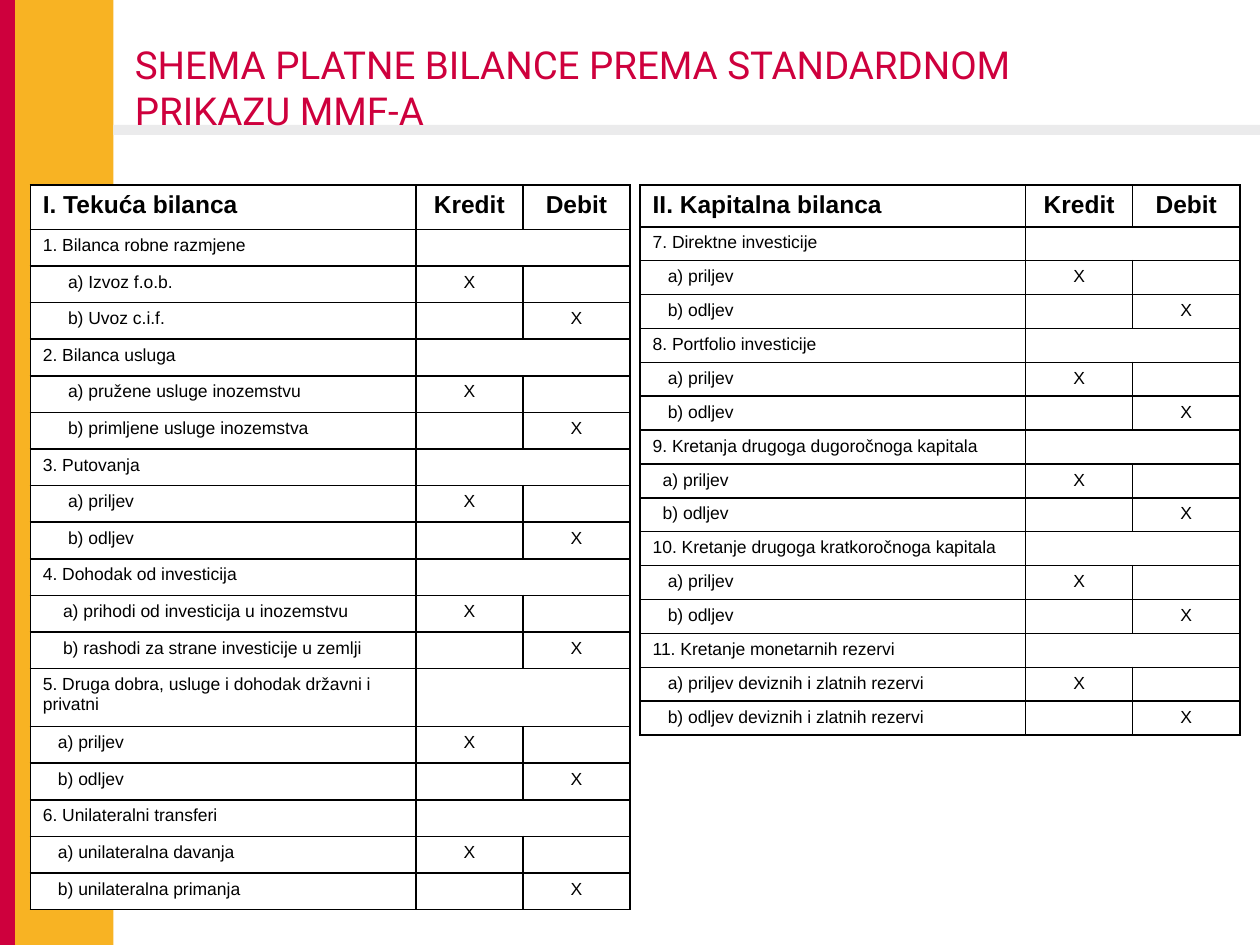
import dataclasses

import lxml.etree
import pptx
import pptx.dml.color
import pptx.enum.shapes
import pptx.enum.text
import pptx.oxml.ns
import pptx.util

Inches = pptx.util.Inches
Color = pptx.dml.color.RGBColor


@dataclasses.dataclass(frozen=True)
class Theme:
    red: Color = Color(0xCE, 0x00, 0x3D)
    yellow: Color = Color(0xF8, 0xB3, 0x23)
    gray: Color = Color(0xEB, 0xEB, 0xEC)
    white: Color = Color(0xFF, 0xFF, 0xFF)
    black: Color = Color(0x00, 0x00, 0x00)
    title_font: str = "Roboto"
    table_font: str = "Arial"
    title_size: int = 22
    header_size: int = 14
    body_size: int = 10
    border_width: int = 1
    cell_margin: float = 0.1
    indent_step: float = 0.04


THEME = Theme()
TITLE = "SHEMA PLATNE BILANCE PREMA STANDARDNOM PRIKAZU MMF-A"
COLUMN_WIDTHS = (3.06, 0.85, 0.85)
FLOWS = ("priljev", "odljev")

# Each item: heading, indent steps of its entries, credit entry and debit entry
CURRENT_ACCOUNT = [
    ("1. Bilanca robne razmjene", 5, ("Izvoz f.o.b.", "Uvoz c.i.f.")),
    ("2. Bilanca usluga", 5, ("pružene usluge inozemstvu", "primljene usluge inozemstva")),
    ("3. Putovanja", 5, FLOWS),
    ("4. Dohodak od investicija", 4,
     ("prihodi od investicija u inozemstvu", "rashodi za strane investicije u zemlji")),
    ("5. Druga dobra, usluge i dohodak državni i privatni", 3, FLOWS),
    ("6. Unilateralni transferi", 3, ("unilateralna davanja", "unilateralna primanja")),
]
CAPITAL_ACCOUNT = [
    ("7. Direktne investicije", 3, FLOWS),
    ("8. Portfolio investicije", 3, FLOWS),
    ("9. Kretanja drugoga dugoročnoga kapitala", 2, FLOWS),
    ("10. Kretanje drugoga kratkoročnoga kapitala", 3, FLOWS),
    ("11. Kretanje monetarnih rezervi", 3,
     tuple(f"{flow} deviznih i zlatnih rezervi" for flow in FLOWS)),
]


def add_bar(slide, box, color):
    bar = slide.shapes.add_shape(
        pptx.enum.shapes.MSO_SHAPE.RECTANGLE, *map(Inches, box))
    bar.shadow.inherit = False
    bar.fill.solid()
    bar.fill.fore_color.rgb = color
    bar.line.fill.background()


def add_background(slide, box):
    left, top, width, height = box
    red_width, side_width = 0.12, 0.9
    add_bar(slide, (left, top, red_width, height), THEME.red)
    add_bar(slide, (left + red_width, top, side_width - red_width, height), THEME.yellow)
    add_bar(slide, (left + side_width, top + 0.99, width - side_width, 0.08), THEME.gray)


def place_title(slide, box):
    title = slide.shapes.title
    title.left, title.top, title.width, title.height = map(Inches, box)
    # The title lies in front of the background bars
    slide.shapes.element.append(title.element)
    frame = title.text_frame
    frame.text = TITLE
    frame.word_wrap = True
    frame.auto_size = pptx.enum.text.MSO_AUTO_SIZE.NONE
    frame.vertical_anchor = pptx.enum.text.MSO_ANCHOR.MIDDLE
    paragraph = frame.paragraphs[0]
    paragraph.alignment = pptx.enum.text.PP_ALIGN.LEFT
    font = paragraph.runs[0].font
    font.name = THEME.title_font
    font.size = pptx.util.Pt(THEME.title_size)
    font.color.rgb = THEME.red


def set_borders(cell):
    properties = cell._tc.get_or_add_tcPr()
    name = pptx.oxml.ns.qn
    for position, side in enumerate(("a:lnL", "a:lnR", "a:lnT", "a:lnB")):
        line = lxml.etree.Element(
            name(side), w=str(pptx.util.Pt(THEME.border_width)))
        fill = lxml.etree.SubElement(line, name("a:solidFill"))
        lxml.etree.SubElement(fill, name("a:srgbClr"), val=str(THEME.black))
        properties.insert(position, line)


def format_cell(cell, text, size, bold, centered, indent):
    cell.fill.solid()
    cell.fill.fore_color.rgb = THEME.white
    set_borders(cell)
    cell.margin_left = Inches(THEME.cell_margin + indent * THEME.indent_step)
    cell.text_frame.text = text
    paragraph = cell.text_frame.paragraphs[0]
    if centered:
        paragraph.alignment = pptx.enum.text.PP_ALIGN.CENTER
    # Keeps empty cells from stretching their row
    paragraph._p.get_or_add_endParaRPr().set("sz", str(size * 100))
    for run in paragraph.runs:
        run.font.name = THEME.table_font
        run.font.size = pptx.util.Pt(size)
        run.font.bold = bold
        run.font.color.rgb = THEME.black


def add_account_table(slide, box, heading, items, header_height, tall_rows):
    """tall_rows maps the index of a row with wrapped text to its height."""
    rows = [(0, (heading, "Kredit", "Debit"))]
    for item, indent, (credit, debit) in items:
        rows += [(0, (item, "", "")),
                 (indent, (f"a) {credit}", "X", "")),
                 (indent, (f"b) {debit}", "", "X"))]
    table = slide.shapes.add_table(
        len(rows), len(COLUMN_WIDTHS), *map(Inches, box)).table
    table.first_row = table.horz_banding = False
    for column, width in zip(table.columns, COLUMN_WIDTHS):
        column.width = Inches(width)

    # Rows without a fixed height share the rest equally
    fixed = {0: header_height, **tall_rows}
    row_height = (box[3] - sum(fixed.values())) / (len(rows) - len(fixed))
    for row_index, (indent, texts) in enumerate(rows):
        table.rows[row_index].height = Inches(fixed.get(row_index, row_height))
        is_header = row_index == 0
        size = THEME.header_size if is_header else THEME.body_size
        for column_index, text in enumerate(texts):
            first = column_index == 0
            format_cell(table.cell(row_index, column_index), text, size,
                        is_header, not first, indent if first else 0)
        if not any(texts[1:]):
            table.cell(row_index, 1).merge(table.cell(row_index, 2))


def main():
    presentation = pptx.Presentation()
    presentation.slide_width = Inches(10)
    presentation.slide_height = Inches(7.5)
    slide = presentation.slides.add_slide(presentation.slide_layouts[5])

    add_background(slide, (0, 0, 10, 7.5))
    place_title(slide, (0.97, 0.32, 8.05, 0.74))
    table_top, table_width = 1.47, sum(COLUMN_WIDTHS)
    add_account_table(slide, (0.24, table_top, table_width, 5.75),
                      "I. Tekuća bilanca", CURRENT_ACCOUNT, 0.35, {13: 0.46})
    add_account_table(slide, (5.08, table_top, table_width, 4.34),
                      "II. Kapitalna bilanca", CAPITAL_ACCOUNT, 0.33, {})
    presentation.save("out.pptx")


if __name__ == "__main__":
    main()
